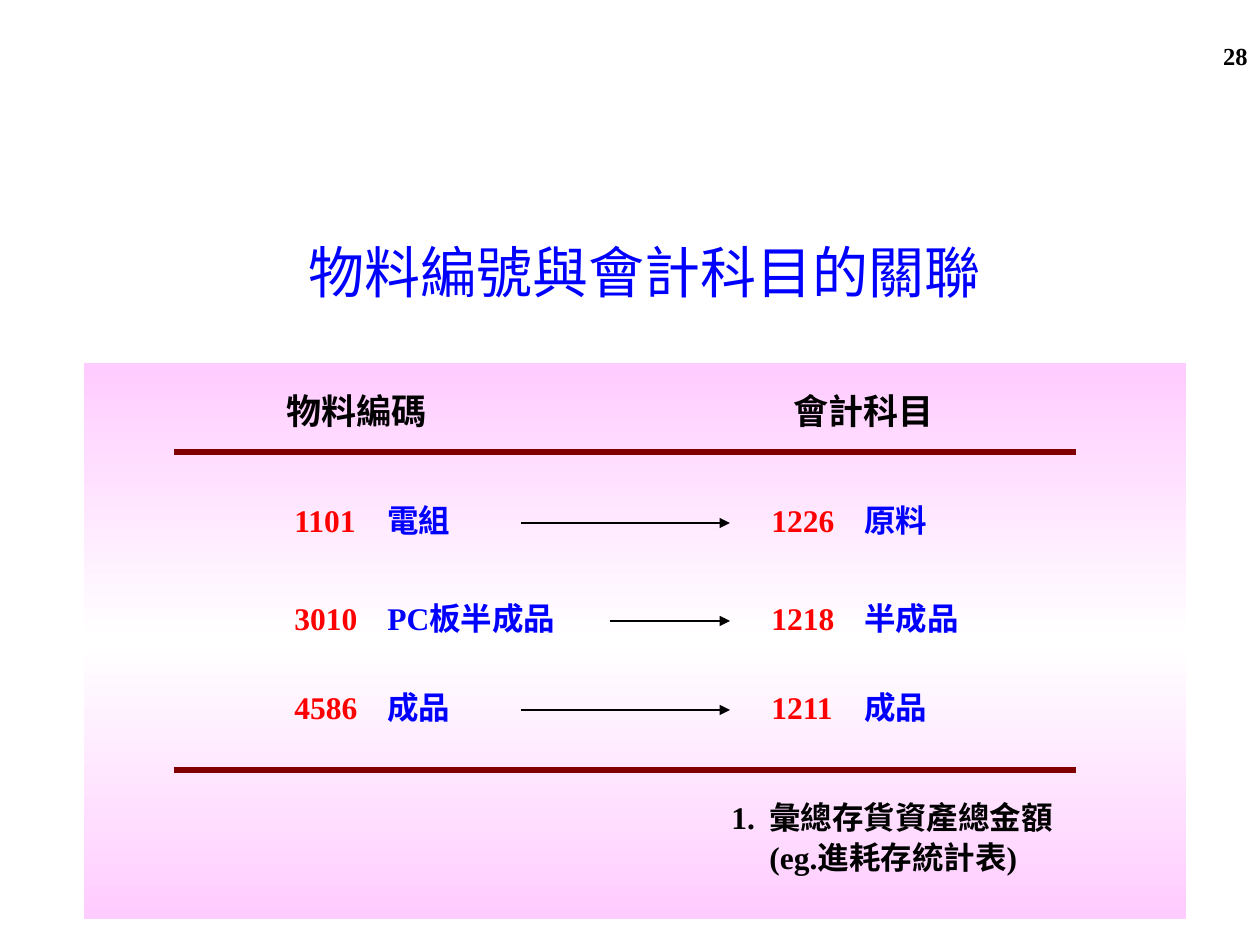
from copy import deepcopy

from lxml import etree
from pptx import Presentation
from pptx.dml.color import RGBColor
from pptx.enum.shapes import MSO_CONNECTOR, MSO_SHAPE
from pptx.enum.text import MSO_ANCHOR, PP_ALIGN
from pptx.oxml.ns import qn
from pptx.util import Pt

# Content
TITLE = "物料編號與會計科目的關聯"
PAGE = "28"
SERIF, SANS, CJK = "Times New Roman", "Arial", "Noto Sans CJK SC"
HEADINGS = [("物料編碼", 272), ("會計科目", 779)]
# row top, arrow start, material (code, name, font), account (code, name, font)
MAPPINGS = [
    (493, 521, ("1101", "電組", SERIF), ("1226", "原料", CJK)),
    (591, 610, ("3010", "PC板半成品", SERIF), ("1218", "半成品", CJK)),
    (680, 521, ("4586", "成品", CJK), ("1211", "成品", CJK)),
]
NOTE = "1.\t彙總存貨資產總金額\v(eg.進耗存統計表)"

COLORS = {
    "title": "0000FF", "code": "FF0000", "name": "0000FF", "text": "000000",
    "rule": "800000", "panel_edge": "FFCCFF", "panel_middle": "FFFFFF",
}

# Layout in px
MATERIAL_X, ACCOUNT_X, COLUMN_W, ROW_H = 282, 759, 328, 53
NAME_TAB, ARROW_DROP, ARROW_END = 93, 30, 730
RULE_X, RULE_END, RULE_YS = 174, 1076, (452, 770)
NOTE_INDENT = 38
EMU_PER_PX = 914400 / 126

# Formats
HEADING = {"size": Pt(20), "name": SANS, "bold": True}
BODY = {"size": Pt(18), "name": SERIF, "bold": True}
PAGE_FONT = {"size": Pt(14), "name": SERIF, "bold": True}
TITLE_FONT = {"size": Pt(32), "name": SERIF, "bold": False}
ROW_SPACING = {"line_spacing": 1.05}


def px(value):
    return round(value * EMU_PER_PX)


def color(key):
    return RGBColor.from_string(COLORS[key])


def apply(target, values):
    for attribute, value in values.items():
        setattr(target, attribute, value)


def style(font, values, color_key):
    apply(font, values)
    font.color.rgb = color(color_key)


def add_paragraph_box(slide, *bounds):
    frame = slide.shapes.add_textbox(*map(px, bounds)).text_frame
    frame.word_wrap = True
    return frame.paragraphs[0]


def add_label(slide, words, bounds, values, alignment):
    paragraph = add_paragraph_box(slide, *bounds)
    paragraph.text = words
    paragraph.alignment = alignment
    style(paragraph.runs[0].font, values, "text")


def add_entry(slide, left, top, entry):
    code, name, name_font = entry
    paragraph = add_paragraph_box(slide, left, top, COLUMN_W, ROW_H)
    tabs = etree.SubElement(paragraph._p.get_or_add_pPr(), qn("a:tabLst"))
    etree.SubElement(tabs, qn("a:tab"), pos=str(px(NAME_TAB)), algn="l")
    apply(paragraph, ROW_SPACING)
    for words, key, face in ((code + "\t", "code", SERIF), (name, "name", name_font)):
        run = paragraph.add_run()
        run.text = words
        style(run.font, BODY | {"name": face}, key)


def add_line(slide, start, end, y, color_key, width, arrow=False):
    line = slide.shapes.add_connector(
        MSO_CONNECTOR.STRAIGHT, px(start), px(y), px(end), px(y))
    line.line.color.rgb = color(color_key)
    line.line.width = Pt(width)
    if arrow:
        etree.SubElement(line.line._get_or_add_ln(), qn("a:tailEnd"), type="triangle")
    etree.SubElement(line._element.spPr, qn("a:effectLst"))


def add_panel(slide):
    panel = slide.shapes.add_shape(
        MSO_SHAPE.RECTANGLE, *map(px, (84, 363, 1102, 556)))
    panel.shadow.inherit = False
    panel.line.fill.background()
    panel.fill.gradient()
    panel.fill.gradient_angle = 90
    stop_list = panel._element.spPr.find(".//" + qn("a:gsLst"))
    stop_list.insert(1, deepcopy(stop_list[0]))
    edge, middle = "panel_edge", "panel_middle"
    for stop, position, key in zip(
            panel.fill.gradient_stops, (0, 0.5, 1), (edge, middle, edge)):
        stop.position = position
        stop.color.rgb = color(key)


def main():
    deck = Presentation()
    apply(deck, {"slide_width": px(1260), "slide_height": px(945)})
    slide = deck.slides.add_slide(deck.slide_layouts[5])

    # Page number, panel and title
    add_label(slide, PAGE, (966, 35, 294, 66), PAGE_FONT, PP_ALIGN.RIGHT)
    add_panel(slide)
    title = slide.shapes.title
    apply(title, {"left": px(74), "top": px(178), "width": px(1142), "height": px(186)})
    title.text_frame.text = TITLE
    title.text_frame.vertical_anchor = MSO_ANCHOR.MIDDLE
    heading = title.text_frame.paragraphs[0]
    heading.alignment = PP_ALIGN.CENTER
    style(heading.runs[0].font, TITLE_FONT, "title")

    # Column headings and rules
    for words, left in HEADINGS:
        add_label(slide, words, (left, 383, 169, 54), HEADING, PP_ALIGN.CENTER)
    for y in RULE_YS:
        add_line(slide, RULE_X, RULE_END, y, "rule", 3)

    # Material codes pointing to accounts
    for top, arrow_start, material, account in MAPPINGS:
        add_entry(slide, MATERIAL_X, top, material)
        add_line(slide, arrow_start, ARROW_END, top + ARROW_DROP, "text", 1.5, arrow=True)
        add_entry(slide, ACCOUNT_X, top, account)

    # Note with a hanging number
    note = add_paragraph_box(slide, 719, 790, 407, 92)
    note.text = NOTE
    apply(note, ROW_SPACING)
    properties = note._p.get_or_add_pPr()
    properties.set("marL", str(px(NOTE_INDENT)))
    properties.set("indent", str(-px(NOTE_INDENT)))
    for run in note.runs:
        style(run.font, BODY, "text")

    deck.save("out.pptx")


if __name__ == "__main__":
    main()
